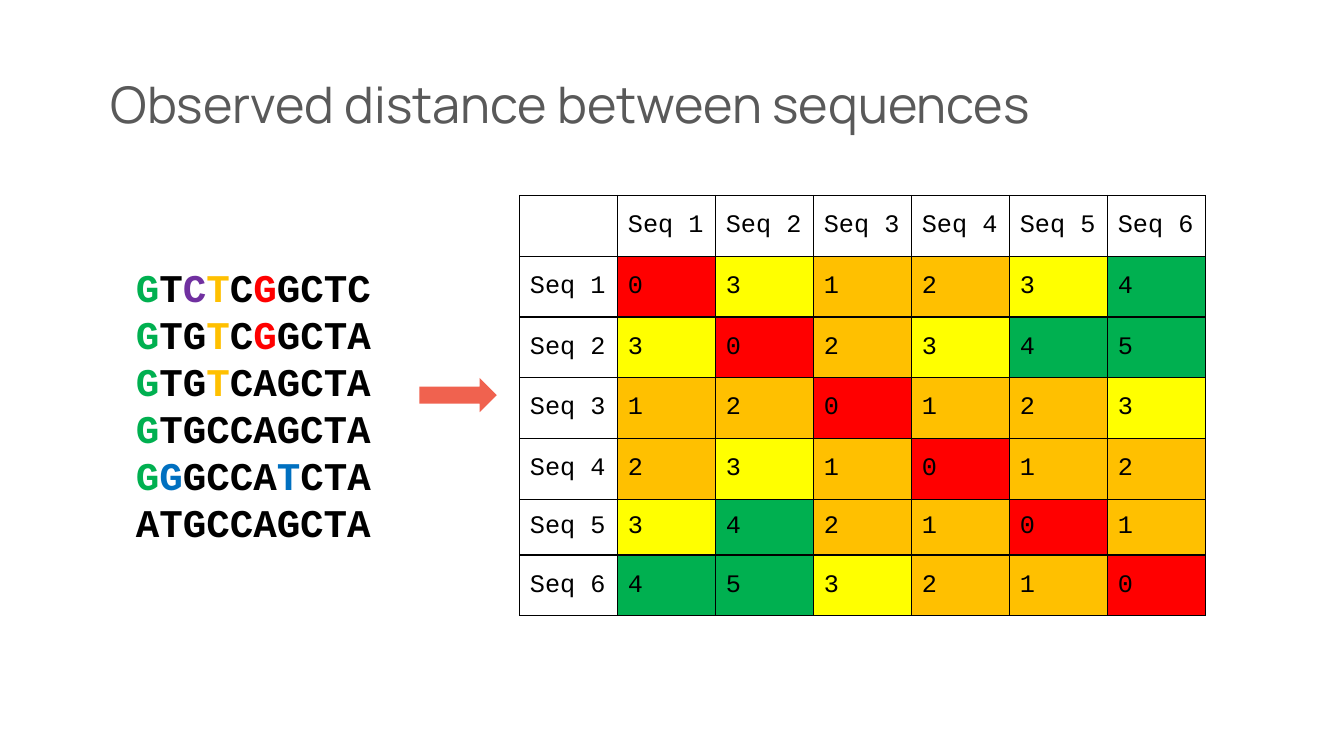
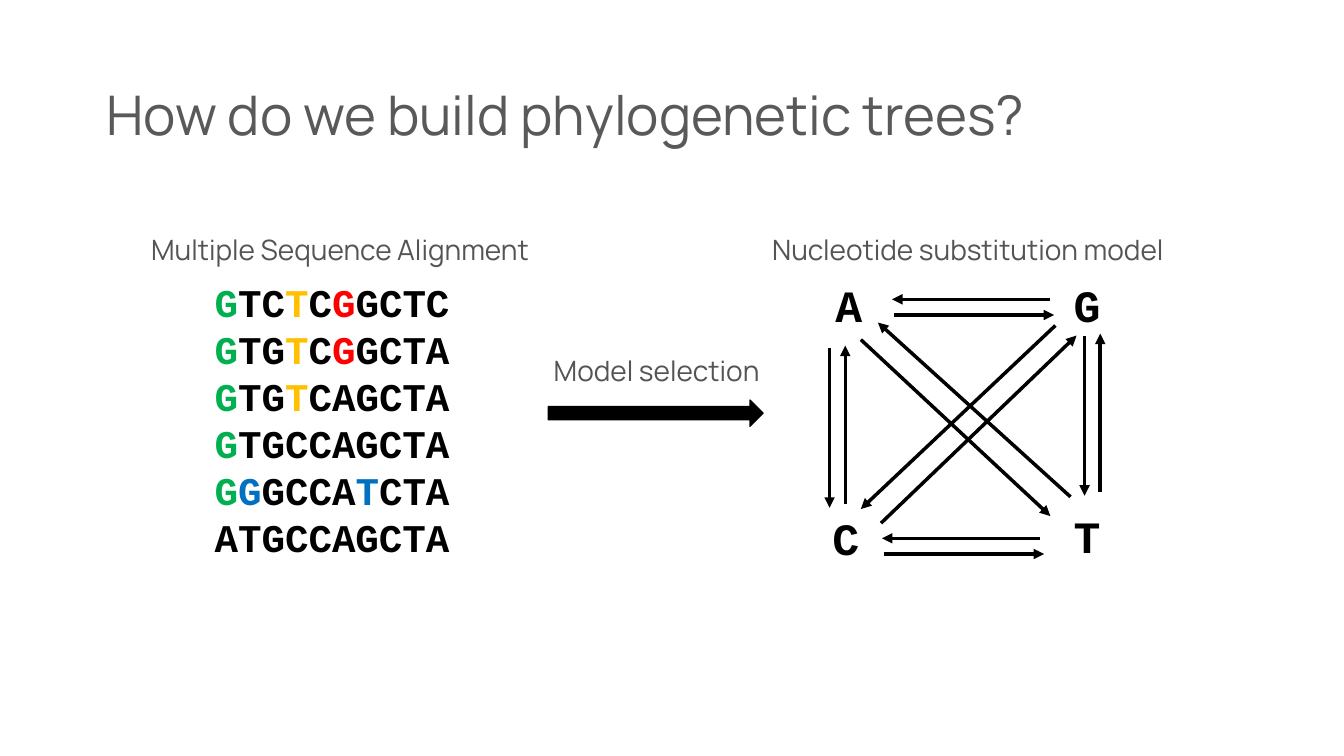
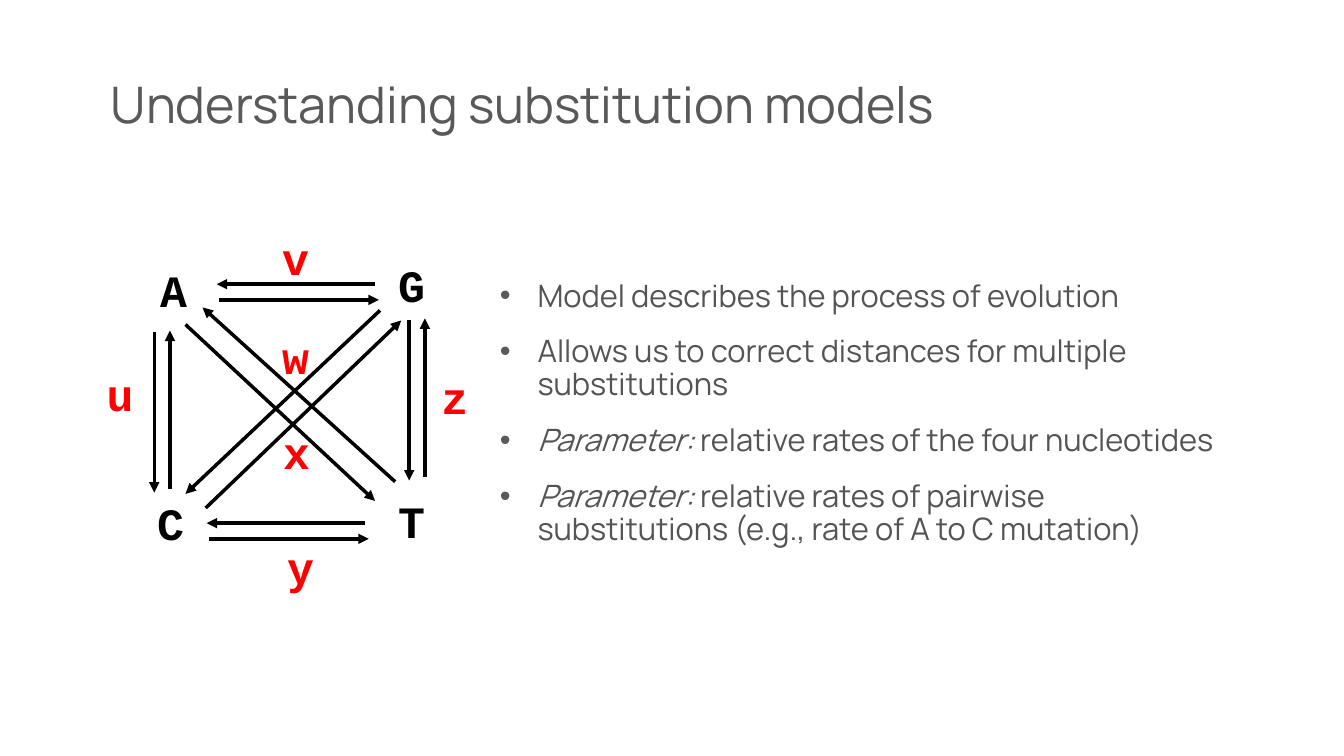
"""Three slides on sequence distances and nucleotide substitution models."""
from dataclasses import dataclass
from itertools import groupby

from lxml import etree
from pptx import Presentation
from pptx.dml.color import RGBColor
from pptx.enum.shapes import MSO_CONNECTOR, MSO_SHAPE
from pptx.enum.text import MSO_ANCHOR, PP_ALIGN
from pptx.oxml.ns import qn
from pptx.slide import Slide
from pptx.text.text import TextFrame
from pptx.util import Pt

LINE = MSO_CONNECTOR.STRAIGHT
ARROW = MSO_SHAPE.RIGHT_ARROW
LEFT, CENTER = PP_ALIGN.LEFT, PP_ALIGN.CENTER
TOP, MIDDLE, BOTTOM = MSO_ANCHOR.TOP, MSO_ANCHOR.MIDDLE, MSO_ANCHOR.BOTTOM

BLACK = RGBColor(0x00, 0x00, 0x00)
WHITE = RGBColor(0xFF, 0xFF, 0xFF)
RED = RGBColor(0xFF, 0x00, 0x00)
ORANGE = RGBColor(0xFF, 0xC0, 0x00)
YELLOW = RGBColor(0xFF, 0xFF, 0x00)
GREEN = RGBColor(0x00, 0xB0, 0x50)
BLUE = RGBColor(0x00, 0x70, 0xC0)
PURPLE = RGBColor(0x70, 0x30, 0xA0)
CORAL = RGBColor(0xF0, 0x62, 0x4F)
GREY = RGBColor(0x59, 0x59, 0x59)
TEXT = RGBColor(0x54, 0x54, 0x54)

SANS, MONO = "Manrope", "Courier New"
INKS = {".": BLACK, "g": GREEN, "y": ORANGE, "r": RED, "b": BLUE, "p": PURPLE}
HEAT = (RED, ORANGE, ORANGE, YELLOW, GREEN, GREEN)


@dataclass(frozen=True)
class Box:
    """A place on a slide, in points."""
    left: float
    top: float
    width: float
    height: float

    def pts(self) -> tuple[Pt, Pt, Pt, Pt]:
        """Return the place as lengths."""
        return Pt(self.left), Pt(self.top), Pt(self.width), Pt(self.height)


@dataclass(frozen=True)
class Style:
    """The look of a paragraph."""
    font: str
    size: float
    color: RGBColor
    bold: bool = False
    align: PP_ALIGN = LEFT
    lead: float = 1.0


@dataclass(frozen=True)
class Mark:
    """One letter of a diagram and its place."""
    text: str
    left: float
    top: float


HEAD = Style(SANS, 36, GREY, lead=0.9)
BIG = Style(SANS, 39, GREY, lead=0.9)
LABEL = Style(SANS, 20, TEXT, align=CENTER)
BODY = Style(SANS, 22, TEXT, lead=0.9)
CODE = Style(MONO, 28, BLACK, bold=True)
BASE = Style(MONO, 32, BLACK, bold=True)
RATE = Style(MONO, 32, RED, bold=True)
CELL = Style(MONO, 18, BLACK)

READS = (
    ("GTCTCGGCTC", "g..y.r...."),
    ("GTGTCGGCTA", "g..y.r...."),
    ("GTGTCAGCTA", "g..y......"),
    ("GTGCCAGCTA", "g........."),
    ("GGGCCATCTA", "gb....b..."),
    ("ATGCCAGCTA", ".........."),
)
GAPS = (
    (0, 3, 1, 2, 3, 4),
    (3, 0, 2, 3, 4, 5),
    (1, 2, 0, 1, 2, 3),
    (2, 3, 1, 0, 1, 2),
    (3, 4, 2, 1, 0, 1),
    (4, 5, 3, 2, 1, 0),
)
CROSS = (
    (25.2, 47.5, 160.6, 173.5),
    (39.6, 178.6, 179.3, 44.6),
    (164.2, 37.4, 25.2, 168.5),
    (175, 159.8, 37.4, 35.3),
)
FLAT = ((47.5, 18.7), (40.3, 189.4))
TALL = ((2.9, 51.8), (185, 43.2))
SPAN, SHIFT, STEP = 113, 1.4, 11.2
RATES = (
    Mark("u", 69.1, 258.5),
    Mark("v", 194.4, 161.3),
    Mark("w", 194.4, 231.8),
    Mark("x", 195.1, 299.5),
    Mark("y", 198, 381.6),
    Mark("z", 308.2, 260.6),
)
POINTS = (
    ("", "Model describes the process of evolution"),
    ("", "Allows us to correct distances for multiple substitutions"),
    ("Parameter:", " relative rates of the four nucleotides"),
    ("Parameter:", " relative rates of pairwise substitutions "
                   "(e.g., rate of A to C mutation)"),
)


def dress(para, look: Style) -> None:
    """Apply a style to a paragraph."""
    para.alignment = look.align
    para.line_spacing = look.lead
    font = para.font
    font.name, font.size, font.bold = look.font, Pt(look.size), look.bold
    font.color.rgb = look.color


def frame(slide: Slide, box: Box, anchor: MSO_ANCHOR = TOP) -> TextFrame:
    """Add an empty wrapping text box."""
    area = slide.shapes.add_textbox(*box.pts()).text_frame
    area.word_wrap = True
    area.vertical_anchor = anchor
    return area


def write(slide: Slide, box: Box, text: str, look: Style,
          anchor: MSO_ANCHOR = TOP) -> None:
    """Add a text box with one paragraph."""
    para = frame(slide, box, anchor).paragraphs[0]
    para.text = text
    dress(para, look)


def title(slide: Slide, text: str, look: Style = HEAD,
          left: float = 72, top: float = 31) -> None:
    """Add the slide title."""
    write(slide, Box(left, top, 821.5, 68.5), text, look, BOTTOM)


def align(slide: Slide, box: Box, skip: str = "") -> None:
    """Add the coloured reads; one cell of the first may take purple."""
    area = frame(slide, box)
    for row, (read, inks) in enumerate(READS):
        para = area.add_paragraph() if row else area.paragraphs[0]
        dress(para, CODE)
        if skip and not row:
            inks = inks[:2] + skip + inks[3:]
        for ink, group in groupby(zip(read, inks), lambda pair: pair[1]):
            run = para.add_run()
            run.text = "".join(base for base, _ in group)
            run.font.color.rgb = INKS[ink]


def block(slide: Slide, box: Box, color: RGBColor) -> None:
    """Add a solid block arrow."""
    shape = slide.shapes.add_shape(ARROW, *box.pts())
    shape.shadow.inherit = False
    shape.fill.solid()
    shape.fill.fore_color.rgb = color
    if color == BLACK:
        shape.line.color.rgb = color
        shape.line.width = Pt(1)
    else:
        shape.line.fill.background()


def arrow(slide: Slide, x: float, y: float, ends: tuple) -> None:
    """Add a thin arrow, placed from the diagram's corner."""
    x1, y1, x2, y2 = ends
    link = slide.shapes.add_connector(
        LINE, Pt(x + x1), Pt(y + y1), Pt(x + x2), Pt(y + y2))
    link.line.color.rgb = BLACK
    link.line.width = Pt(2.5)
    etree.SubElement(link.get_or_add_ln(), qn("a:tailEnd"), type="triangle")
    etree.SubElement(link._element.spPr, qn("a:effectLst"))


def letter(slide: Slide, mark: Mark, look: Style) -> None:
    """Add one letter of a diagram."""
    write(slide, Box(mark.left, mark.top, 36.7, 46), mark.text, look)


def model(slide: Slide, x: float, y: float, lift: float = 0) -> None:
    """Draw the four bases and the arrows between them."""
    for mark in (Mark("A", x, y), Mark("G", x + 170, y - lift),
                 Mark("C", x - 2.2, y + 166), Mark("T", x + 170, y + 165)):
        letter(slide, mark, BASE)
    ends = list(CROSS)
    near, far = SHIFT, SPAN + 2 * SHIFT
    for a, b in FLAT:
        ends += [(a + SPAN, b, a, b), (a + near, b + STEP, a + far, b + STEP)]
    for a, b in TALL:
        ends += [(a + STEP, b + SPAN, a + STEP, b), (a, b + near, a, b + far)]
    for item in ends:
        arrow(slide, x, y, item)


def paint(cell, text: str, color: RGBColor) -> None:
    """Fill, border and label one table cell."""
    props = cell._tc.get_or_add_tcPr()
    for side in ("a:lnL", "a:lnR", "a:lnT", "a:lnB"):
        edge = etree.SubElement(props, qn(side), w=str(Pt(1)))
        fill = etree.SubElement(edge, qn("a:solidFill"))
        etree.SubElement(fill, qn("a:srgbClr"), val=str(BLACK))
    cell.fill.solid()
    cell.fill.fore_color.rgb = color
    cell.vertical_anchor = MIDDLE
    para = cell.text_frame.paragraphs[0]
    para.text = text
    dress(para, CELL)


def matrix(slide: Slide, box: Box) -> None:
    """Add the table of distances."""
    size = len(GAPS) + 1
    grid = slide.shapes.add_table(size, size, *box.pts()).table
    grid.first_row = grid.horz_banding = False
    for col in grid.columns:
        col.width = Pt(box.width / size)
    for row in grid.rows:
        row.height = Pt(43.4)
    grid.rows[5].height = Pt(39.8)
    names = [f"Seq {num}" for num in range(1, size)]
    for col, name in enumerate(["", *names]):
        paint(grid.cell(0, col), name, WHITE)
    for row, (name, gaps) in enumerate(zip(names, GAPS), 1):
        paint(grid.cell(row, 0), name, WHITE)
        for col, gap in enumerate(gaps, 1):
            paint(grid.cell(row, col), str(gap), HEAT[gap])


def bullets(slide: Slide, box: Box) -> None:
    """Add the bulleted list."""
    area = frame(slide, box, MIDDLE)
    for num, (lead, rest) in enumerate(POINTS):
        para = area.add_paragraph() if num else area.paragraphs[0]
        props = para._p.get_or_add_pPr()
        props.set("marL", str(Pt(27)))
        props.set("indent", str(-Pt(27)))
        tint = etree.SubElement(props, qn("a:buClr"))
        etree.SubElement(tint, qn("a:srgbClr"), val=str(GREY))
        etree.SubElement(props, qn("a:buFont"), typeface="Arial")
        etree.SubElement(props, qn("a:buChar"), char="•")
        dress(para, BODY)
        para.space_before = Pt(16 if num else 0)
        if lead:
            run = para.add_run()
            run.text, run.font.italic = lead, True
        para.add_run().text = rest


def main() -> None:
    """Build and save the deck."""
    deck = Presentation()
    deck.slide_width, deck.slide_height = Pt(960), Pt(540)
    blank = deck.slide_layouts[6]
    first, second, third = (deck.slides.add_slide(blank) for _ in range(3))

    title(first, "Observed distance between sequences")
    align(first, Box(90, 184.3, 218.9, 211), "p")
    block(first, Box(299.5, 270, 55.4, 24.5), CORAL)
    matrix(first, Box(371.3, 139.7, 490, 300.2))

    title(second, "How do we build phylogenetic trees?", BIG, 69, 40)
    for text, box in (
        ("Multiple Sequence Alignment", Box(85.7, 162.7, 314.6, 31.7)),
        ("Model selection", Box(355.7, 249.1, 226.8, 31.7)),
        ("Nucleotide substitution model", Box(534.2, 162.7, 314.6, 31.7)),
    ):
        write(second, box, text, LABEL)
    align(second, Box(146.2, 195.1, 193.7, 211))
    block(second, Box(391.7, 285.8, 153.4, 18.7), BLACK)
    model(second, 589.7, 195.1)

    title(third, "Understanding substitution models")
    model(third, 107.3, 184.3, 3.6)
    for mark in RATES:
        letter(third, mark, RATE)
    bullets(third, Box(349.9, 108.7, 540.7, 373.7))

    deck.save("out.pptx")


if __name__ == "__main__":
    main()
